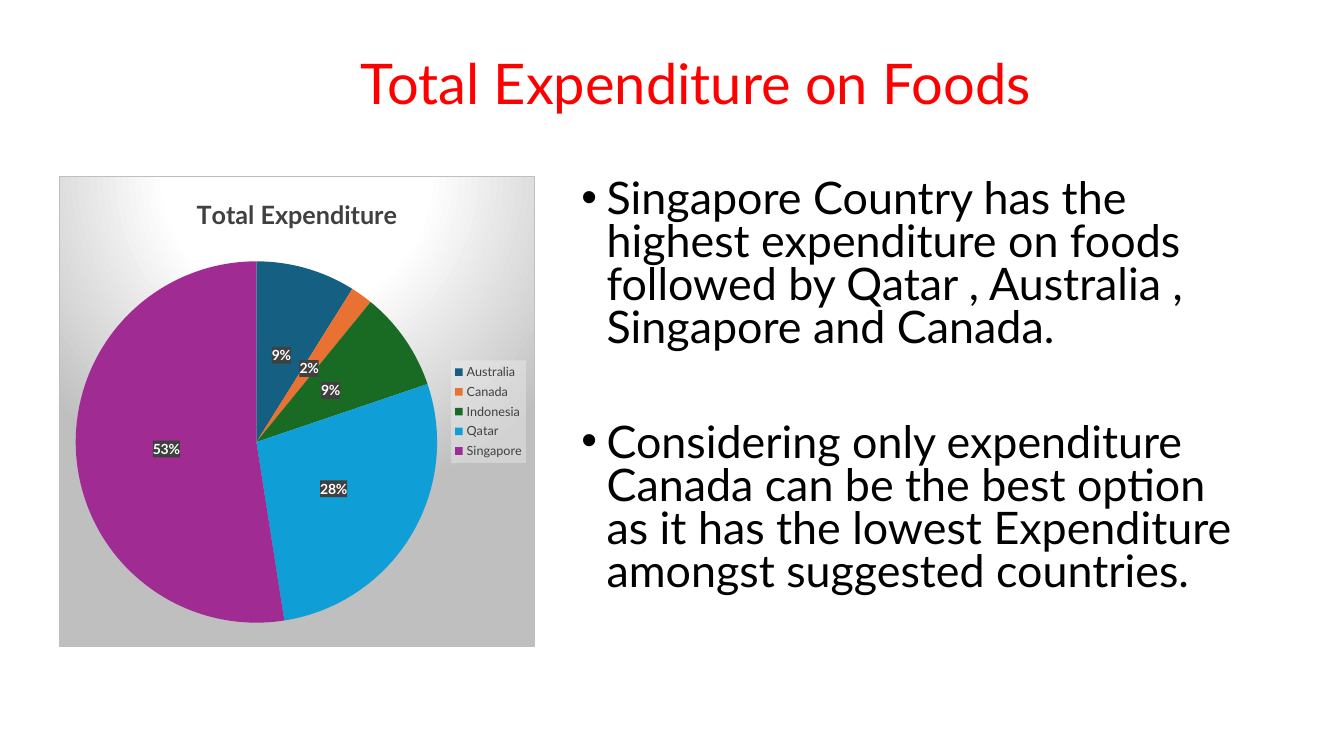
from lxml import etree
from pptx import Presentation
from pptx import util as u
from pptx.chart.data import CategoryChartData
from pptx.dml.color import RGBColor
from pptx.enum import chart as charts, text
from pptx.oxml import parse_xml
from pptx.oxml.ns import nsdecls, qn

FONT = "Lato"
EXPENDITURE = {
    "Australia": (9, "156082"),
    "Canada": (2, "E97132"),
    "Indonesia": (9, "196B24"),
    "Qatar": (28, "0F9ED5"),
    "Singapore": (53, "A02B93"),
}
FINDINGS = [
    "Singapore Country has the highest expenditure on foods followed by "
    "Qatar , Australia , Singapore and Canada.",
    "Considering only expenditure Canada can be the best option as it has "
    "the lowest Expenditure amongst suggested countries.",
]
PLOT_LAYOUT = {"x": 0.03, "y": 0.18, "w": 0.77, "h": 0.77}
CHART_BACKGROUND = (
    '<a:gradFill><a:gsLst>'
    '<a:gs pos="0"><a:srgbClr val="FFFFFF"/></a:gs>'
    '<a:gs pos="39000"><a:srgbClr val="FFFFFF"/></a:gs>'
    '<a:gs pos="100000"><a:srgbClr val="BFBFBF"/></a:gs></a:gsLst>'
    '<a:path path="circle">'
    '<a:fillToRect l="50000" t="-80000" r="50000" b="180000"/></a:path></a:gradFill>'
    '<a:ln w="9525"><a:solidFill><a:srgbClr val="BFBFBF"/></a:solidFill></a:ln>'
)


def color(value):
    return RGBColor.from_string(value)


def set_font(font, size, value, bold=False):
    font.name = FONT
    font.size = u.Pt(size)
    font.color.rgb = color(value)
    font.bold = bold


def add_text_frame(slide, left, top, width, height):
    box = slide.shapes.add_textbox(u.Pt(left), u.Pt(top), u.Pt(width), u.Pt(height))
    box.text_frame.word_wrap = True
    return box.text_frame


def add_title(slide, wording):
    frame = add_text_frame(slide, 66, 31.7, 862, 55.4)
    frame.vertical_anchor = text.MSO_ANCHOR.BOTTOM
    paragraph = frame.paragraphs[0]
    paragraph.text = wording
    paragraph.alignment = text.PP_ALIGN.CENTER
    paragraph.line_spacing = 0.9
    set_font(paragraph.font, 40, "FF0000")


def add_bullet(paragraph, wording, space_before):
    paragraph.text = wording
    paragraph.line_spacing = 0.8
    paragraph.space_before = u.Pt(space_before)
    set_font(paragraph.font, 32, "000000")
    properties = paragraph._p.get_or_add_pPr()
    properties.set("marL", str(u.Pt(18)))
    properties.set("indent", str(-u.Pt(18)))
    bullet_font = parse_xml(f'<a:buFont {nsdecls("a")} typeface="Arial"/>')
    bullet = parse_xml(f'<a:buChar {nsdecls("a")} char="•"/>')
    defaults = properties.find(qn("a:defRPr"))
    defaults.addprevious(bullet_font)
    defaults.addprevious(bullet)


def add_findings(slide):
    frame = add_text_frame(slide, 408.2, 125.3, 486, 336.2)
    add_bullet(frame.paragraphs[0], FINDINGS[0], 10)
    add_bullet(frame.add_paragraph(), FINDINGS[1], 51)


def style_chart_part(chart, font_path, properties):
    """Put fill and line properties ahead of the part's font properties."""
    font_properties = chart.element.xpath(font_path)[0]
    font_properties.addprevious(
        parse_xml(f'<c:spPr {nsdecls("c", "a")}>{properties}</c:spPr>')
    )


def translucent_fill(value, opacity):
    return (
        f'<a:solidFill><a:srgbClr val="{value}">'
        f'<a:alpha val="{opacity * 1000}"/></a:srgbClr></a:solidFill>'
    )


def set_plot_layout(chart):
    plot_area = chart.element.xpath(".//c:plotArea")[0]
    for layout in plot_area.findall(qn("c:layout")):
        plot_area.remove(layout)
    layout = parse_xml(f'<c:layout {nsdecls("c")}><c:manualLayout/></c:layout>')
    settings = {"layoutTarget": "inner", "xMode": "edge", "yMode": "edge", **PLOT_LAYOUT}
    for name, value in settings.items():
        etree.SubElement(layout[0], qn(f"c:{name}")).set("val", str(value))
    plot_area.insert(0, layout)


def add_expenditure_pie(slide):
    data = CategoryChartData()
    data.categories = list(EXPENDITURE)
    data.add_series("Total Expenditure", [share for share, _ in EXPENDITURE.values()])
    chart = slide.shapes.add_chart(
        charts.XL_CHART_TYPE.PIE, u.Pt(42), u.Pt(126), u.Pt(340), u.Pt(336), data
    ).chart
    set_font(chart.font, 10, "000000")

    chart.has_title = True
    heading = chart.chart_title.text_frame.paragraphs[0]
    heading.text = "Total Expenditure"
    set_font(heading.font, 18, "404040", bold=True)
    chart.chart_title.include_in_layout = False

    chart.has_legend = True
    chart.legend.position = charts.XL_LEGEND_POSITION.RIGHT
    chart.legend.include_in_layout = False
    set_font(chart.legend.font, 9, "404040")

    plot = chart.plots[0]
    plot.vary_by_categories = True
    for index, (_, fill) in enumerate(EXPENDITURE.values()):
        point_fill = plot.series[0].points[index].format.fill
        point_fill.solid()
        point_fill.fore_color.rgb = color(fill)

    plot.has_data_labels = True
    labels = plot.data_labels
    labels.show_value = True
    labels.number_format = '0"%"'
    labels.number_format_is_linked = False
    labels.position = charts.XL_LABEL_POSITION.CENTER
    set_font(labels.font, 10, "FFFFFF", bold=True)

    style_chart_part(chart, "./c:txPr", CHART_BACKGROUND)
    style_chart_part(chart, ".//c:legend/c:txPr", translucent_fill("F2F2F2", 39))
    style_chart_part(chart, ".//c:dLbls/c:txPr", translucent_fill("404040", 90))
    set_plot_layout(chart)


def main():
    presentation = Presentation()
    presentation.slide_width = u.Pt(960)
    presentation.slide_height = u.Pt(540)
    slide = presentation.slides.add_slide(presentation.slide_layouts[6])
    add_title(slide, "Total Expenditure on Foods")
    add_expenditure_pie(slide)
    add_findings(slide)
    presentation.save("out.pptx")


if __name__ == "__main__":
    main()
